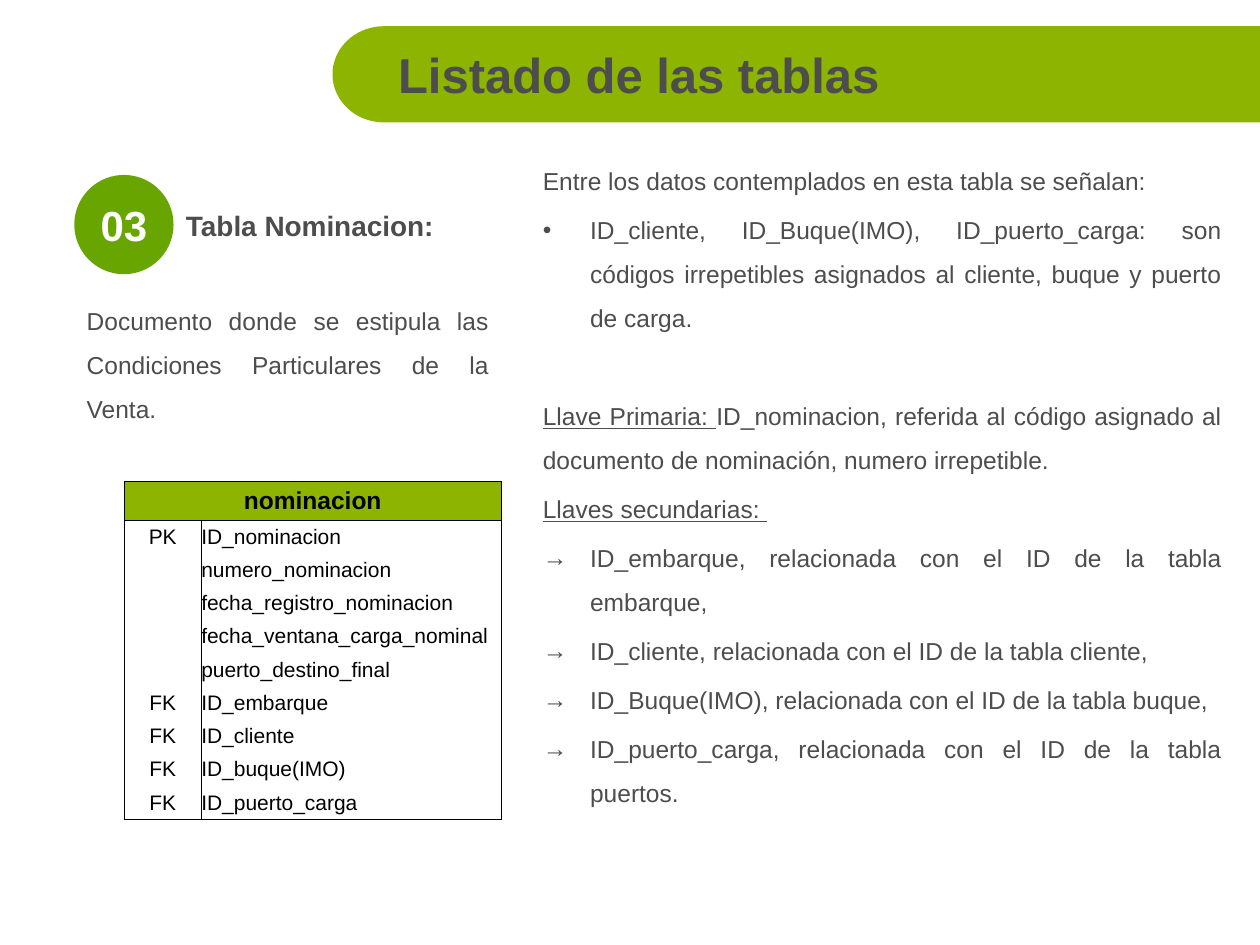
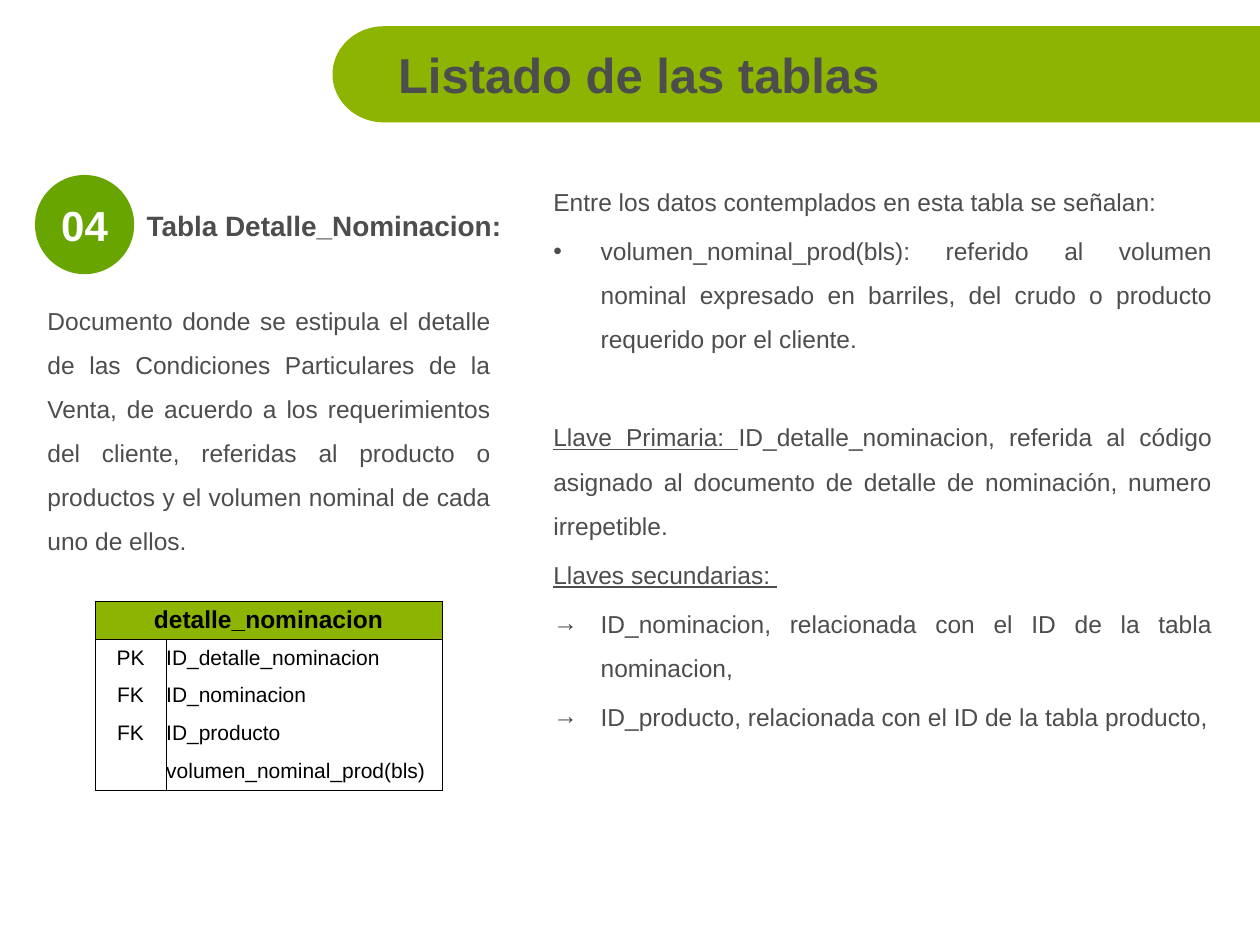
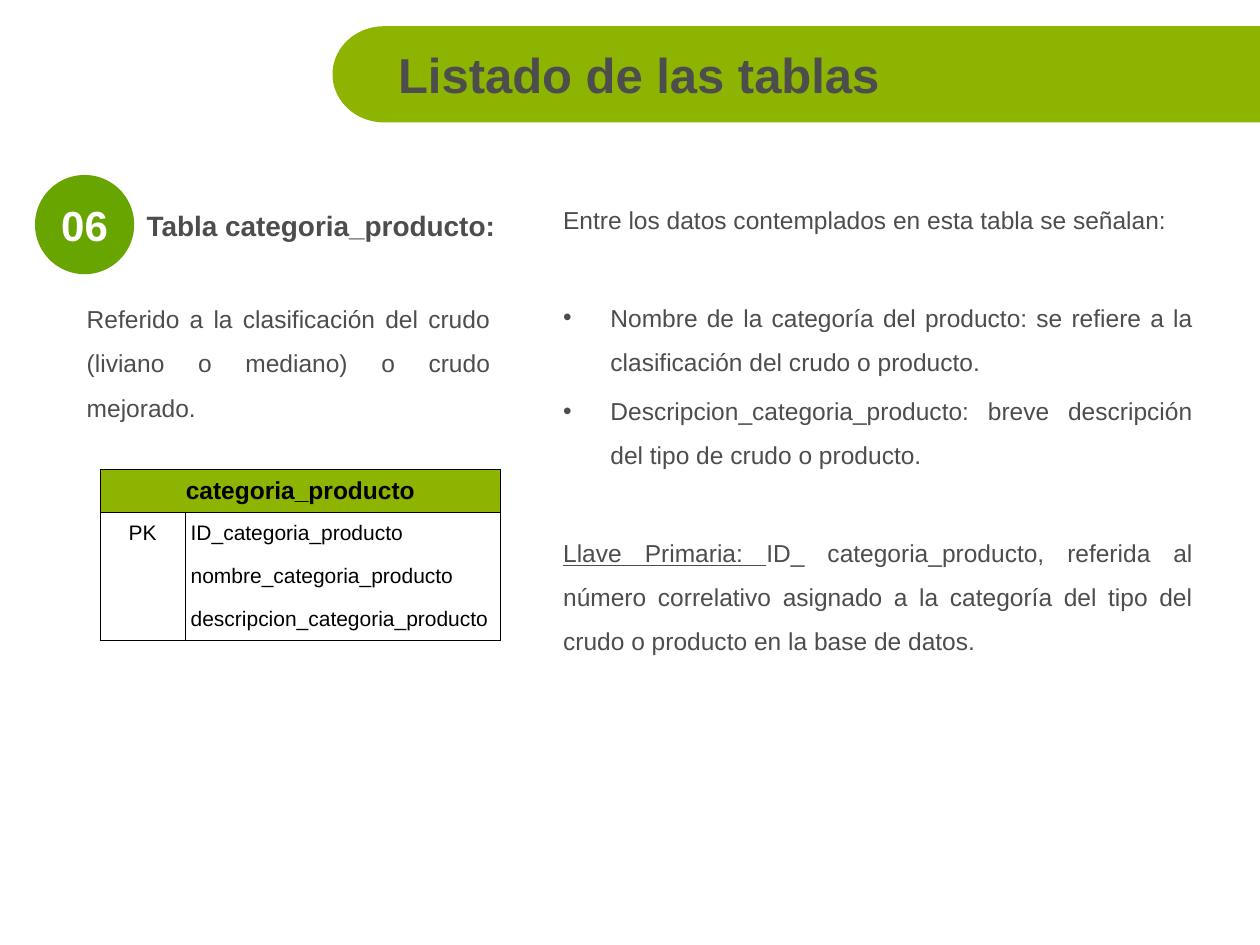
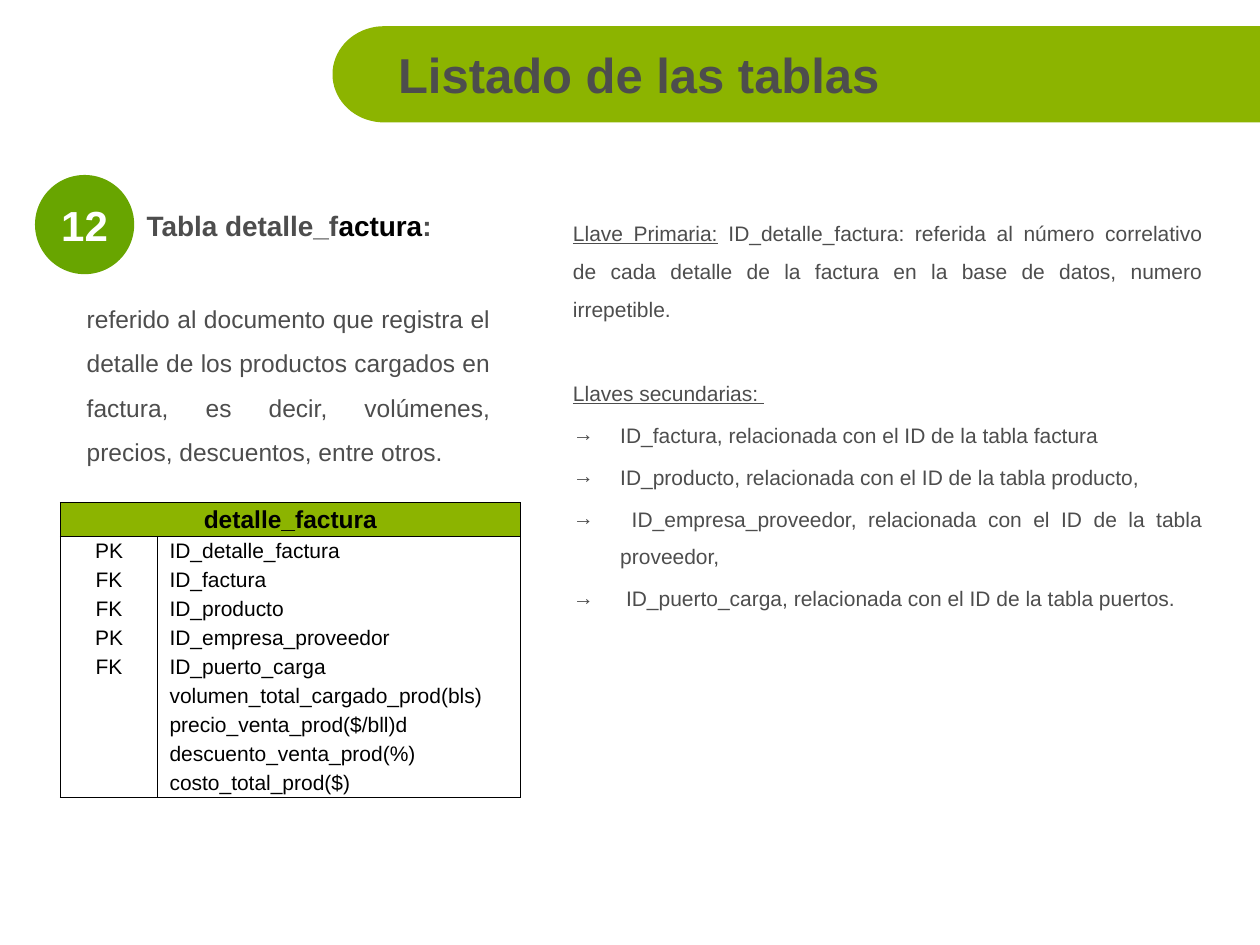
import math
from dataclasses import dataclass

import lxml.etree
import pptx
import pptx.dml.color
import pptx.enum.shapes
import pptx.enum.text
import pptx.oxml.ns
import pptx.util

Pt = pptx.util.Pt
RGBColor = pptx.dml.color.RGBColor
Align = pptx.enum.text.PP_ALIGN
Anchor = pptx.enum.text.MSO_ANCHOR
qn = pptx.oxml.ns.qn


@dataclass(frozen=True)
class Theme:
    font: str = "Arial"
    band: str = "8CB400"
    badge: str = "68A500"
    ink: str = "4D4D4D"
    black: str = "000000"
    white: str = "FFFFFF"
    title: int = 28
    number: int = 24
    heading: int = 16
    body: int = 14
    small: int = 12
    border: float = 0.5
    indent: int = 27
    line_spacing: float = 1.5


THEME = Theme()
TITLE = "Listado de las tablas"
INTRO = ("plain", "Entre los datos contemplados en esta tabla se señalan:")
PRIMARY = "Llave Primaria: "
SECONDARY = ("plain", "", "Llaves secundarias: ")
BULLETS = {"dot": "•", "arrow": "→"}

# Each detail is (kind, text, underlined lead); a "gap" entry leaves one line free.
GAP = ("gap", "")

PAGES = [
    {
        "number": "03",
        "badge_left": 42.5,
        "heading": [("Tabla Nominacion:", THEME.ink)],
        "summary": "Documento donde se estipula las Condiciones Particulares de la Venta.",
        "summary_box": (42.5, 162.7, 244, 79),
        "detail_box": (303, 82.8, 402.5, 249),
        "detail_size": THEME.body,
        "details": [
            INTRO,
            ("dot", "ID_cliente, ID_Buque(IMO), ID_puerto_carga: son códigos irrepetibles "
                    "asignados al cliente, buque y puerto de carga."),
            GAP,
            ("plain", "ID_nominacion, referida al código asignado al documento de "
                      "nominación, numero irrepetible.", PRIMARY),
            SECONDARY,
            ("arrow", "ID_embarque, relacionada con el ID de la tabla embarque,"),
            ("arrow", "ID_cliente, relacionada con el ID de la tabla cliente,"),
            ("arrow", "ID_Buque(IMO), relacionada con el ID de la tabla buque,"),
            ("arrow", "ID_puerto_carga, relacionada con el ID de la tabla puertos."),
        ],
        "table": "nominacion",
        "table_at": (71, 275),
        "columns": (44, 171.5),
        "row_heights": (22.3, 19),
        "field_margin": 0,
        "fields": [
            ("PK", "ID_nominacion"),
            ("", "numero_nominacion"),
            ("", "fecha_registro_nominacion"),
            ("", "fecha_ventana_carga_nominal"),
            ("", "puerto_destino_final"),
            ("FK", "ID_embarque"),
            ("FK", "ID_cliente"),
            ("FK", "ID_buque(IMO)"),
            ("FK", "ID_puerto_carga"),
        ],
    },
    {
        "number": "04",
        "badge_left": 20,
        "heading": [("Tabla Detalle_Nominacion:", THEME.ink)],
        "summary": "Documento donde se estipula el detalle de las Condiciones Particulares "
                   "de la Venta, de acuerdo a los requerimientos del cliente, referidas al "
                   "producto o productos y el volumen nominal de cada uno de ellos.",
        "summary_box": (20, 162.7, 267.5, 79),
        "detail_box": (309, 95, 391, 345.6),
        "detail_size": THEME.body,
        "details": [
            INTRO,
            ("dot", "volumen_nominal_prod(bls): referido al volumen nominal expresado en "
                    "barriles, del crudo o producto requerido por el cliente."),
            GAP,
            ("plain", "ID_detalle_nominacion, referida al código asignado al documento de "
                      "detalle de nominación, numero irrepetible.", PRIMARY),
            SECONDARY,
            ("arrow", "ID_nominacion, relacionada con el ID de la tabla nominacion,"),
            ("arrow", "ID_producto, relacionada con el ID de la tabla producto,"),
        ],
        "table": "detalle_nominacion",
        "table_at": (54.3, 343.5),
        "columns": (40.7, 157.7),
        "row_heights": (21.6, 21.6),
        "field_margin": 0,
        "fields": [
            ("PK", "ID_detalle_nominacion"),
            ("FK", "ID_nominacion"),
            ("FK", "ID_producto"),
            ("", "volumen_nominal_prod(bls)"),
        ],
    },
    {
        "number": "06",
        "badge_left": 20,
        "heading": [("Tabla categoria_producto:", THEME.ink)],
        "summary": "Referido a la clasificación del crudo (liviano o mediano) o crudo "
                   "mejorado.",
        "summary_box": (42.5, 162, 244.8, 79),
        "detail_box": (314.6, 105, 374.4, 345.6),
        "detail_size": THEME.body,
        "details": [
            INTRO,
            GAP,
            ("dot", "Nombre de la categoría del producto: se refiere a la clasificación del "
                    "crudo o producto."),
            ("dot", "Descripcion_categoria_producto: breve descripción del tipo de crudo o "
                    "producto."),
            GAP,
            ("plain", "ID_ categoria_producto, referida al número correlativo asignado a la "
                      "categoría del tipo del crudo o producto en la base de datos.", PRIMARY),
        ],
        "table": "categoria_producto",
        "table_at": (57.2, 268.3),
        "columns": (48.5, 180.5),
        "row_heights": (24.3, 24.5),
        "field_margin": 3.3,
        "fields": [
            ("PK", "ID_categoria_producto"),
            ("", "nombre_categoria_producto"),
            ("", "descripcion_categoria_producto"),
        ],
    },
    {
        "number": "12",
        "badge_left": 20,
        "heading": [("Tabla detalle_f", THEME.ink), ("actura", THEME.black),
                    (":", THEME.ink)],
        "summary": "referido al documento que registra el detalle de los productos cargados "
                   "en factura, es decir, volúmenes, precios, descuentos, entre otros.",
        "summary_box": (42.5, 162, 244.8, 79),
        "detail_box": (320.2, 115.2, 374.4, 257),
        "detail_size": THEME.small,
        "details": [
            ("plain", " ID_detalle_factura: referida al número correlativo de cada detalle "
                      "de la factura en la base de datos, numero irrepetible.",
             PRIMARY.strip()),
            GAP,
            SECONDARY,
            ("arrow", "ID_factura, relacionada con el ID de la tabla factura"),
            ("arrow", "ID_producto, relacionada con el ID de la tabla producto,"),
            ("arrow", " ID_empresa_proveedor, relacionada con el ID de la tabla proveedor,"),
            ("arrow", " ID_puerto_carga, relacionada con el ID de la tabla puertos."),
        ],
        "table": "detalle_factura",
        "table_at": (34.4, 287.2),
        "columns": (55.8, 207.4),
        "row_heights": (19.4, 16.6),
        "field_margin": 6.7,
        "fields": [
            ("PK", "ID_detalle_factura"),
            ("FK", "ID_factura"),
            ("FK", "ID_producto"),
            ("PK", "ID_empresa_proveedor"),
            ("FK", "ID_puerto_carga"),
            ("", "volumen_total_cargado_prod(bls)"),
            ("", "precio_venta_prod($/bll)d"),
            ("", "descuento_venta_prod(%)"),
            ("", "costo_total_prod($)"),
        ],
    },
]

BAND = (190, 15, 530, 55)
BAND_CURVE = 29.5
TITLE_BOX = (220.3, 19.4, 499.7, 45.4)
BADGE_TOP, BADGE_SIZE = 100, 56.7
HEADING_TOP, HEADING_WIDTH, HEADING_HEIGHT = 115.2, 221, 26.6


def assign(target, formats):
    for name, value in formats.items():
        setattr(target, name, value)


def place(shape, bounds):
    assign(shape, dict(zip(("left", "top", "width", "height"), map(Pt, bounds))))


def paint(shape, color):
    shape.fill.solid()
    shape.fill.fore_color.rgb = RGBColor.from_string(color)
    shape.line.fill.background()
    shape.shadow.inherit = False


def write(para, text, size, color=THEME.ink, bold=False, underline=False):
    span = para.add_run()
    span.text = text
    assign(span.font, {"name": THEME.font, "size": Pt(size), "bold": bold,
                       "underline": underline})
    span.font.color.rgb = RGBColor.from_string(color)


def frame_of(box, anchor):
    frame = box.text_frame
    assign(frame, {"word_wrap": True, "vertical_anchor": anchor,
                   "auto_size": pptx.enum.text.MSO_AUTO_SIZE.NONE})
    return frame


def add_box(page, bounds, anchor):
    return frame_of(page.shapes.add_textbox(*map(Pt, bounds)), anchor)


def format_body(para, size, kind="plain", after_gap=False):
    before = 0.2 * size
    if after_gap:
        before += 2 * 0.1 * size + 1.8 * size - 0.2 * size + 0.2 * size
    assign(para, {"alignment": Align.JUSTIFY, "line_spacing": THEME.line_spacing,
                  "space_before": Pt(round(before, 1))})
    indent = Pt(THEME.indent) if kind in BULLETS else 0
    properties = para._p.get_or_add_pPr()
    properties.set("marL", str(indent))
    properties.set("indent", str(-indent))
    if kind in BULLETS:
        lxml.etree.SubElement(properties, qn("a:buFont"), typeface=THEME.font)
        lxml.etree.SubElement(properties, qn("a:buChar"), char=BULLETS[kind])
    else:
        lxml.etree.SubElement(properties, qn("a:buNone"))


def add_band(page):
    left, top, width, height = BAND
    center_x, center_y = left + BAND_CURVE, top + height / 2
    angles = [math.radians(degree) for degree in range(90, 271, 5)]
    curve = [(Pt(center_x + BAND_CURVE * math.cos(angle)),
              Pt(center_y + height / 2 * math.sin(angle))) for angle in angles]
    right = Pt(left + width)
    builder = page.shapes.build_freeform(right, Pt(top), scale=1.0)
    builder.add_line_segments([(right, Pt(top + height))] + curve, close=True)
    band = builder.convert_to_shape()
    paint(band, THEME.band)
    page.shapes.element.insert(2, band.element)


def add_title(page):
    title = page.shapes.title
    place(title, TITLE_BOX)
    para = frame_of(title, Anchor.MIDDLE).paragraphs[0]
    para.alignment = Align.LEFT
    write(para, TITLE, THEME.title, bold=True)


def add_heading(page, content):
    left = content["badge_left"]
    badge = page.shapes.add_shape(pptx.enum.shapes.MSO_SHAPE.OVAL,
                                  *map(Pt, (left, BADGE_TOP, BADGE_SIZE, BADGE_SIZE)))
    paint(badge, THEME.badge)
    frame = frame_of(badge, Anchor.MIDDLE)
    assign(frame, dict.fromkeys(("margin_left", "margin_right"), 0))
    para = frame.paragraphs[0]
    para.alignment = Align.CENTER
    write(para, content["number"], THEME.number, THEME.white, bold=True)

    bounds = (left + BADGE_SIZE, HEADING_TOP, HEADING_WIDTH, HEADING_HEIGHT)
    para = add_box(page, bounds, Anchor.MIDDLE).paragraphs[0]
    for text, color in content["heading"]:
        write(para, text, THEME.heading, color, bold=True)


def add_summary(page, content):
    para = add_box(page, content["summary_box"], Anchor.TOP).paragraphs[0]
    format_body(para, THEME.body)
    write(para, content["summary"], THEME.body)


def add_details(page, content):
    body = page.placeholders[1]
    place(body, content["detail_box"])
    frame = frame_of(body, Anchor.TOP)
    size = content["detail_size"]
    para, after_gap = frame.paragraphs[0], False
    for kind, text, *lead in content["details"]:
        if kind == "gap":
            after_gap = True
            continue
        if para is None:
            para = frame.add_paragraph()
        format_body(para, size, kind, after_gap)
        for underlined in lead:
            write(para, underlined, size, underline=True)
        if text:
            write(para, text, size)
        para, after_gap = None, False


def set_borders(cell, sides):
    properties = cell._tc.get_or_add_tcPr()
    for side in "LRTB":
        line = lxml.etree.SubElement(properties, qn("a:ln" + side),
                                     w=str(Pt(THEME.border)))
        if side in sides:
            fill = lxml.etree.SubElement(line, qn("a:solidFill"))
            lxml.etree.SubElement(fill, qn("a:srgbClr"), val=THEME.black)
        else:
            lxml.etree.SubElement(line, qn("a:noFill"))


def fill_cell(cell, text, size, sides, align, margin=0, bold=False):
    assign(cell, {"margin_left": Pt(margin), "margin_right": 0, "margin_top": 0,
                  "margin_bottom": 0, "vertical_anchor": Anchor.MIDDLE})
    set_borders(cell, sides)
    cell.fill.background()
    para = cell.text_frame.paragraphs[0]
    para.alignment = align
    if text:
        write(para, text, size, THEME.black, bold)
    else:
        lxml.etree.SubElement(para._p, qn("a:endParaRPr"), sz=str(size * 100))


def add_fields(page, content):
    fields = content["fields"]
    header_height, row_height = content["row_heights"]
    columns = content["columns"]
    bounds = (*content["table_at"], sum(columns), header_height + row_height * len(fields))
    table = page.shapes.add_table(len(fields) + 1, len(columns), *map(Pt, bounds)).table
    assign(table, {"first_row": False, "horz_banding": False})
    for column, width in zip(table.columns, columns):
        column.width = Pt(width)
    for index, row in enumerate(table.rows):
        row.height = Pt(row_height if index else header_height)

    table.cell(0, 0).merge(table.cell(0, 1))
    for column, text in enumerate((content["table"], "")):
        cell = table.cell(0, column)
        fill_cell(cell, text, THEME.body, "LRTB", Align.CENTER, bold=True)
        cell.fill.solid()
        cell.fill.fore_color.rgb = RGBColor.from_string(THEME.band)

    for index, (key, field) in enumerate(fields, start=1):
        sides = "LR" + "T" * (index == 1) + "B" * (index == len(fields))
        fill_cell(table.cell(index, 0), key, THEME.small, sides, Align.CENTER)
        fill_cell(table.cell(index, 1), field, THEME.small, sides, Align.LEFT,
                  content["field_margin"])


def main():
    deck = pptx.Presentation()
    assign(deck, {"slide_width": Pt(720), "slide_height": Pt(540)})
    for content in PAGES:
        page = deck.slides.add_slide(deck.slide_layouts[1])
        add_band(page)
        add_title(page)
        add_details(page, content)
        add_heading(page, content)
        add_summary(page, content)
        add_fields(page, content)
    deck.save("out.pptx")


if __name__ == "__main__":
    main()
